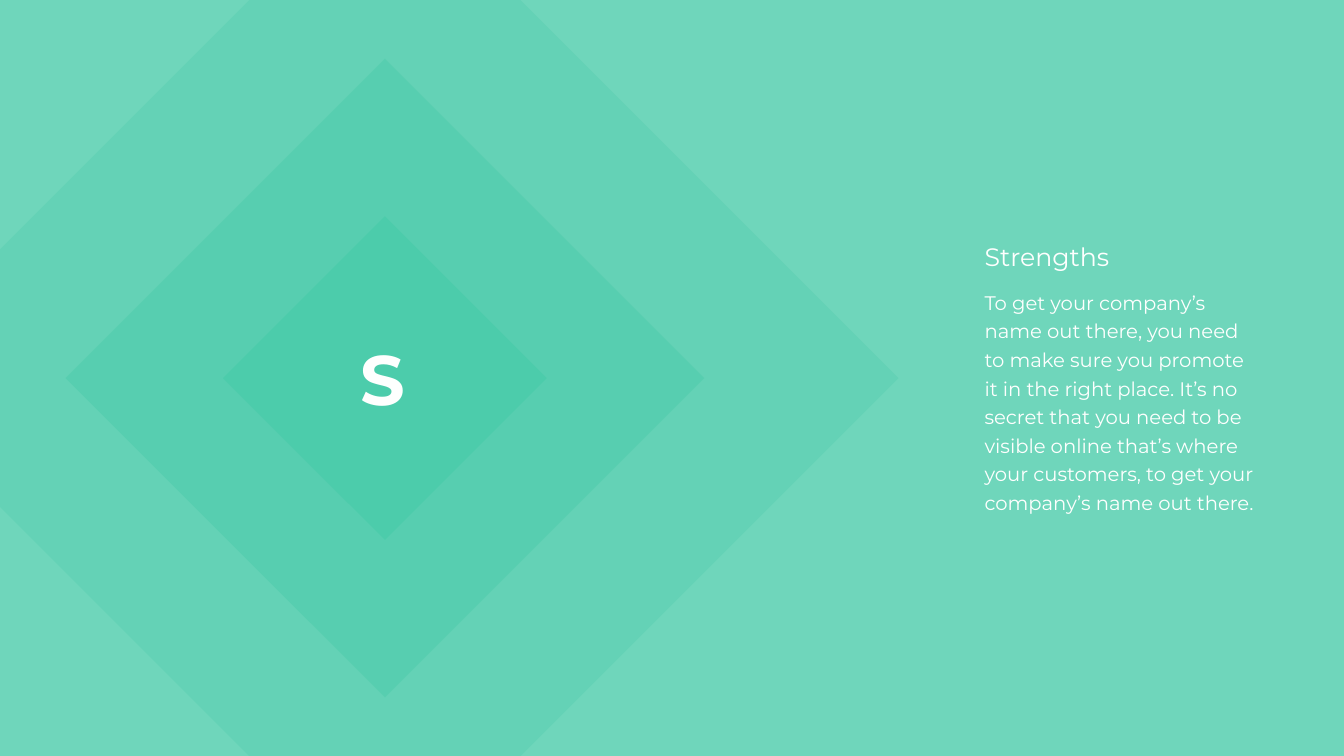
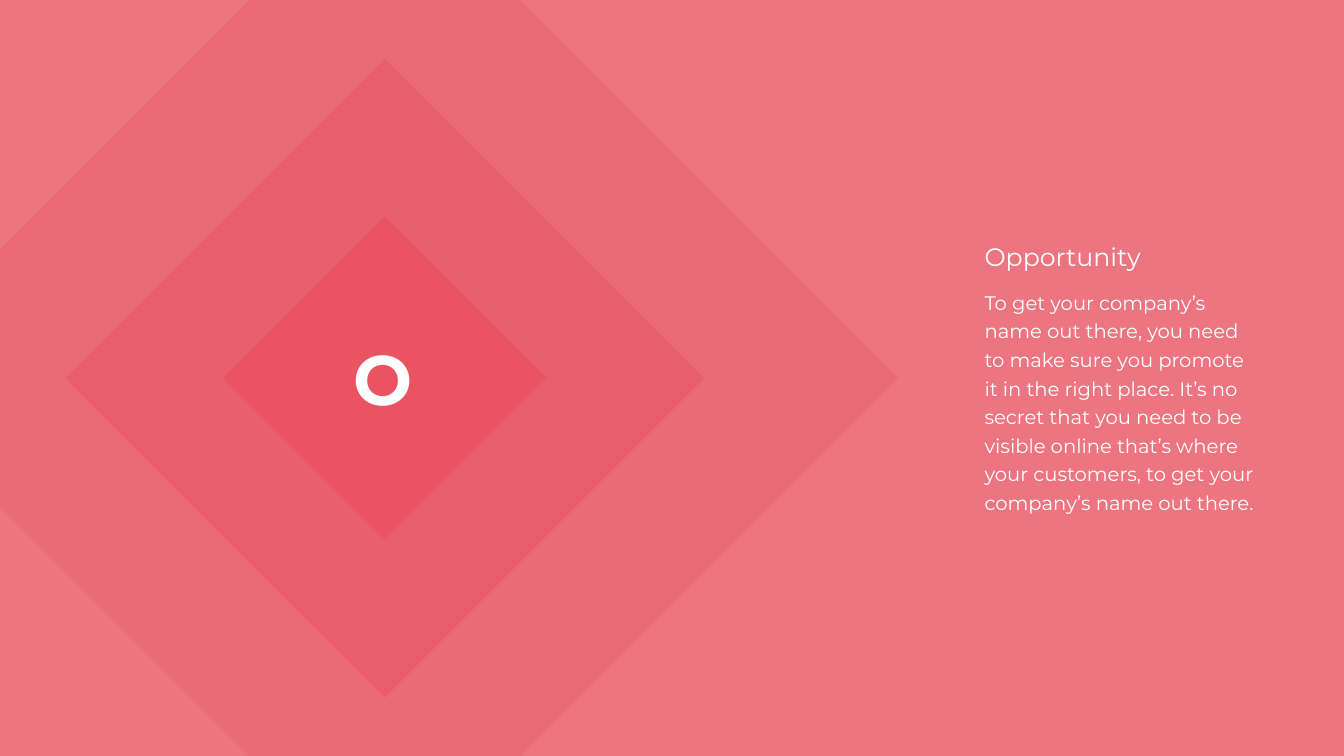
from lxml.etree import SubElement
from pptx import Presentation
from pptx.dml.color import RGBColor
from pptx.enum.shapes import MSO_SHAPE
from pptx.enum.text import MSO_ANCHOR, MSO_AUTO_SIZE, PP_ALIGN
from pptx.oxml.ns import qn
from pptx.util import Pt

WIDTH, HEIGHT = 1919.52, 1080
WHITE = "FEFFFE"
FONT = "Montserrat"
DIAMONDS = [(1037.52, 30), (645.12, 50), (326.88, 100)]
PROMOTION = (
    "To get your company’s name out there, you need to make sure you promote "
    "it in the right place. It’s no secret that you need to be visible online "
    "that’s where your customers, to get your company’s name out there."
)
SECTIONS = [("S", "Strengths", "4CCCAB"), ("O", "Opportunity", "E95362")]


def paint(fill, color, opacity=100):
    """Fill with a hex colour at an opacity in percent."""
    fill.solid()
    fill.fore_color.rgb = RGBColor.from_string(color)
    if opacity < 100:
        srgb = fill._xPr.find(".//" + qn("a:srgbClr"))
        SubElement(srgb, qn("a:alpha"), val=str(opacity * 1000))


def place(part, left, top, width, height):
    """Set the box of a part in points."""
    part.left, part.top = Pt(left), Pt(top)
    part.width, part.height = Pt(width), Pt(height)


def add_panel(slide, box, color, opacity, rotation=0):
    """Add a plain tinted rectangle."""
    panel = slide.shapes.add_shape(MSO_SHAPE.RECTANGLE, *map(Pt, box))
    panel.rotation = rotation
    panel.shadow.inherit = False
    panel.line.fill.background()
    paint(panel.fill, color, opacity)


def write(part, text, size, align=PP_ALIGN.LEFT, bold=False):
    """Write one white paragraph from the top of a part."""
    frame = part.text_frame
    frame.text = text
    frame.word_wrap = True
    frame.auto_size = MSO_AUTO_SIZE.SHAPE_TO_FIT_TEXT
    frame.vertical_anchor = MSO_ANCHOR.TOP
    paragraph = frame.paragraphs[0]
    paragraph.alignment = align
    paragraph.space_before = Pt(0)
    font = paragraph.font
    font.name, font.size, font.bold = FONT, Pt(size), bold
    font.color.rgb = RGBColor.from_string(WHITE)
    return paragraph


def add_emblem(slide, center_x, center_y, letter, color):
    """Draw nested diamonds around a centre with the section letter."""
    for side, opacity in DIAMONDS:
        box = (center_x - side / 2, center_y - side / 2, side, side)
        add_panel(slide, box, color, opacity, rotation=45)
    initial = slide.shapes.add_textbox(
        Pt(center_x - 110.5), Pt(center_y - 64.3), Pt(214.56), Pt(128.16))
    paragraph = write(initial, letter, 100, PP_ALIGN.CENTER, bold=True)
    paragraph.runs[0].font._element.set("spc", "300")


def add_message(slide, left, top, heading, message):
    """Place the heading and its message below it, in front of the panels."""
    title, body = slide.shapes.title, slide.placeholders[1]
    place(title, left, top, 346.32, 51.12)
    place(body, left, top + 64.08, 405.36, 334.8)
    write(title, heading, 36)
    paragraph = write(body, message, 28)
    paragraph.line_spacing = Pt(40.8)
    properties = paragraph._p.get_or_add_pPr()
    properties.set("marL", "0")
    properties.set("indent", "0")
    bullet = SubElement(properties, qn("a:buNone"))
    properties.find(qn("a:defRPr")).addprevious(bullet)
    for part in (body, title):
        slide.shapes.element.append(part.element)


def add_section(deck, letter, heading, color):
    """Build one section slide in its own colour."""
    slide = deck.slides.add_slide(deck.slide_layouts[1])
    paint(slide.background.fill, WHITE)
    add_panel(slide, (0, 0, WIDTH, HEIGHT), color, 80)
    add_emblem(slide, 549.72, 540.2, letter, color)
    add_message(slide, 1398.96, 340.56, heading, PROMOTION)


def main():
    """Build the deck and save it."""
    deck = Presentation()
    deck.slide_width, deck.slide_height = Pt(WIDTH), Pt(HEIGHT)
    for letter, heading, color in SECTIONS:
        add_section(deck, letter, heading, color)
    deck.save("out.pptx")


if __name__ == "__main__":
    main()
